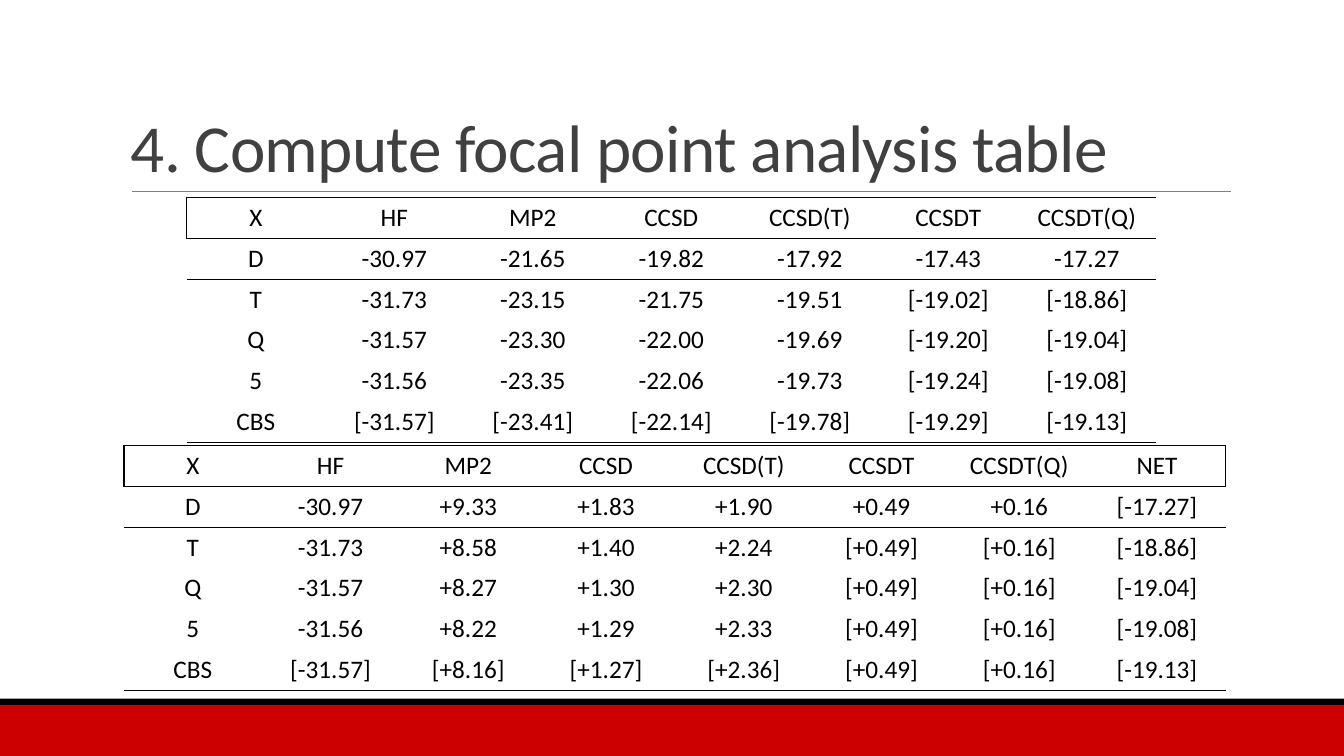
from lxml import etree
from pptx import Presentation
from pptx import util as u
from pptx.dml.color import RGBColor
from pptx.enum import shapes, text
from pptx.oxml.ns import qn

PLAIN_TABLE = "{2D5ABB26-0587-4C30-8999-92F81FD0307C}"
METHODS = "X HF MP2 CCSD CCSD(T) CCSDT CCSDT(Q)"
ENERGIES = [row.split() for row in (
    METHODS,
    "D -30.97 -21.65 -19.82 -17.92 -17.43 -17.27",
    "T -31.73 -23.15 -21.75 -19.51 [-19.02] [-18.86]",
    "Q -31.57 -23.30 -22.00 -19.69 [-19.20] [-19.04]",
    "5 -31.56 -23.35 -22.06 -19.73 [-19.24] [-19.08]",
    "CBS [-31.57] [-23.41] [-22.14] [-19.78] [-19.29] [-19.13]",
)]
INCREMENTS = [row.split() for row in (
    METHODS + " NET",
    "D -30.97 +9.33 +1.83 +1.90 +0.49 +0.16 [-17.27]",
    "T -31.73 +8.58 +1.40 +2.24 [+0.49] [+0.16] [-18.86]",
    "Q -31.57 +8.27 +1.30 +2.30 [+0.49] [+0.16] [-19.04]",
    "5 -31.56 +8.22 +1.29 +2.33 [+0.49] [+0.16] [-19.08]",
    "CBS [-31.57] [+8.16] [+1.27] [+2.36] [+0.49] [+0.16] [-19.13]",
)]


def rgb(color):
    return RGBColor.from_string(color)


class Deck:
    """Slide builder whose lengths are percentages of the slide's width and height."""

    font = "Calibri"
    ink = "000000"

    def __init__(self, width, height):
        self.prs = Presentation()
        self.prs.slide_width, self.prs.slide_height = u.Inches(width), u.Inches(height)
        self.s = self.prs.slides.add_slide(self.prs.slide_layouts[6])

    def x(self, share):
        return round(self.prs.slide_width * share / 100)

    def y(self, share):
        return round(self.prs.slide_height * share / 100)

    def box(self, x, y, w, h):
        return self.x(x), self.y(y), self.x(w), self.y(h)

    def style(self, p, size, color):
        p.font.name, p.font.size = self.font, u.Pt(size)
        p.font.color.rgb = rgb(color)

    def band(self, x, y, w, h, color):
        sp = self.s.shapes.add_shape(shapes.MSO_SHAPE.RECTANGLE, *self.box(x, y, w, h))
        sp.shadow.inherit = False
        sp.fill.solid()
        sp.fill.fore_color.rgb = rgb(color)
        sp.line.fill.background()

    def rule(self, x1, x2, y, color, width):
        line = self.s.shapes.add_connector(
            shapes.MSO_CONNECTOR.STRAIGHT, self.x(x1), self.y(y), self.x(x2), self.y(y))
        line.line.color.rgb = rgb(color)
        line.line.width = u.Pt(width)
        etree.SubElement(line._element.spPr, qn("a:effectLst"))

    def title(self, x, y, w, h, words, size, color):
        tf = self.s.shapes.add_textbox(*self.box(x, y, w, h)).text_frame
        tf.word_wrap = True
        tf.vertical_anchor = text.MSO_ANCHOR.BOTTOM
        p = tf.paragraphs[0]
        p.line_spacing = 0.85
        r = p.add_run()
        r.text = words
        r._r.get_or_add_rPr().set("spc", "-50")
        self.style(p, size, color)

    def borders(self, cell, sides):
        tcPr = cell._tc.get_or_add_tcPr()
        for i, side in enumerate(sides):
            ln = etree.Element(qn("a:ln" + side), w=str(u.Pt(1)))
            fill = etree.SubElement(ln, qn("a:solidFill"))
            etree.SubElement(fill, qn("a:srgbClr"), val=self.ink)
            tcPr.insert(i, ln)

    def table(self, x, y, w, h, rows, size, closed=False):
        last_row, last_col = len(rows) - 1, len(rows[0]) - 1
        frame = self.s.shapes.add_table(last_row + 1, last_col + 1, *self.box(x, y, w, h))
        tbl = frame.table
        tbl.first_row = tbl.horz_banding = False
        tbl._tbl.tblPr.find(qn("a:tableStyleId")).text = PLAIN_TABLE
        for i, row in enumerate(rows):
            for j, value in enumerate(row):
                cell = tbl.cell(i, j)
                cell.text = value
                cell.fill.background()
                p = cell.text_frame.paragraphs[0]
                p.alignment = text.PP_ALIGN.CENTER
                self.style(p, size, self.ink)
                edges = {
                    "L": i == 0 and j == 0,
                    "R": i == 0 and j == last_col and closed,
                    "T": i < 2,
                    "B": i in (0, 1, last_row),
                }
                self.borders(cell, [side for side, drawn in edges.items() if drawn])


def main():
    deck = Deck(13.33, 7.5)
    deck.band(0, 93.33, 100, 6.67, "CC0000")
    deck.band(0, 92.4, 100, 0.93, "000000")
    deck.rule(9.83, 91.58, 25.33, "808080", 0.5)
    deck.title(9, 4.13, 82.5, 21.2, "4. Compute focal point analysis table", 48, "404040")
    deck.table(13.88, 26.13, 72.15, 32.4, ENERGIES, 18)
    deck.table(9.22, 58.93, 82, 32.4, INCREMENTS, 18, closed=True)
    deck.prs.save("out.pptx")


if __name__ == "__main__":
    main()
